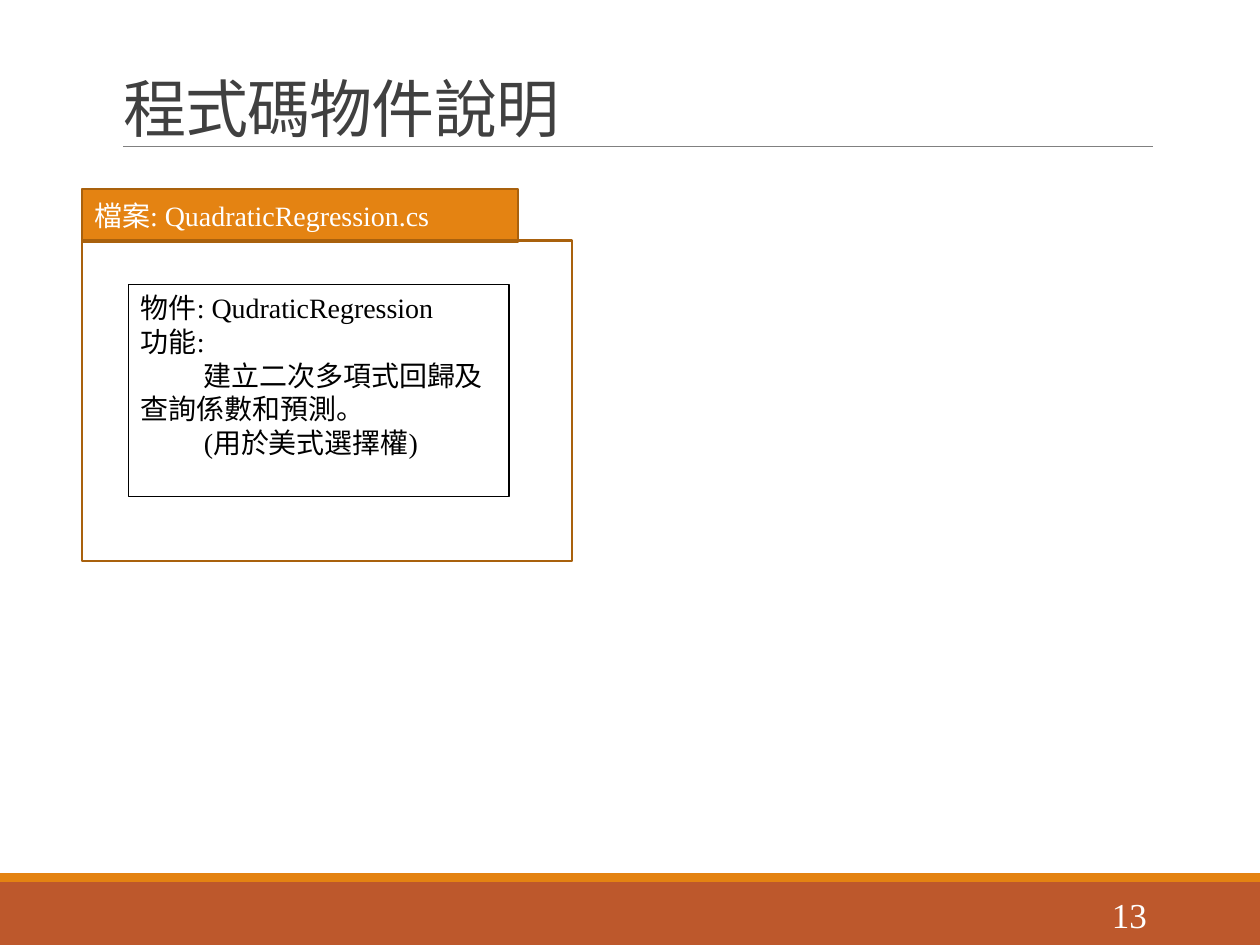
from pptx import Presentation
from pptx.dml.color import RGBColor
from pptx.enum.shapes import MSO_CONNECTOR, MSO_SHAPE
from pptx.enum.text import MSO_ANCHOR, PP_ALIGN
from pptx.oxml.ns import qn
from pptx.util import Inches, Pt
from lxml import etree

RECT = MSO_SHAPE.RECTANGLE
LINE = MSO_CONNECTOR.STRAIGHT
TOP, MIDDLE, BOTTOM = MSO_ANCHOR.TOP, MSO_ANCHOR.MIDDLE, MSO_ANCHOR.BOTTOM
LEFT, RIGHT = PP_ALIGN.LEFT, PP_ALIGN.RIGHT
FONT = "Times New Roman"
COLORS = {
    "rust": "BD582C", "orange": "E48312", "brown": "A9610D", "gray": "808080",
    "dark": "404040", "white": "FFFFFF", "black": "000000",
}


def add_box(place, fill=None, line=None, width=1.25):
    box = slide.shapes.add_shape(RECT, *map(Inches, place))
    box.shadow.inherit = False
    if fill:
        box.fill.solid()
        box.fill.fore_color.rgb = RGBColor.from_string(COLORS[fill])
    else:
        box.fill.background()
    if line:
        box.line.color.rgb = RGBColor.from_string(COLORS[line])
        box.line.width = Pt(width)
    else:
        box.line.fill.background()
    return box


def set_text(shape, text, size, color, anchor, align=LEFT):
    frame = shape.text_frame
    frame.word_wrap = True
    frame.vertical_anchor = anchor
    frame.text = text
    for para in frame.paragraphs:
        para.alignment = align
        for run in para.runs:
            run.font.name = FONT
            run.font.size = Pt(size)
            run.font.color.rgb = RGBColor.from_string(COLORS[color])
    return frame.paragraphs


deck = Presentation()
deck.slide_width, deck.slide_height = Inches(10), Inches(7.5)
slide = deck.slides.add_slide(deck.slide_layouts[5])

# Footer bands and title rule
add_box((0, 7, 10, 0.5), "rust")
add_box((0, 6.93, 10, 0.07), "orange")
rule = slide.shapes.add_connector(
    LINE, Inches(0.98), Inches(1.16), Inches(9.15), Inches(1.16))
rule.line.color.rgb = RGBColor.from_string(COLORS["gray"])
rule.line.width = Pt(0.5)
etree.SubElement(rule._element.spPr, qn("a:effectLst"))

# Title
title = slide.shapes.title
title.left, title.top = Inches(0.88), Inches(0.43)
title.width, title.height = Inches(8.25), Inches(0.77)
head = set_text(title, "程式碼物件說明", 36, "dark", BOTTOM)[0]
head.line_spacing = 0.85
head.runs[0].font._element.set("spc", "-50")

# Page number
page = slide.shapes.add_textbox(
    Inches(8.12), Inches(7.06), Inches(1.08), Inches(0.4))
set_text(page, "13", 20, "white", MIDDLE, RIGHT)

# File folder: tab, body and object card
tab = add_box((0.65, 1.5, 3.46, 0.42), "orange", "brown")
set_text(tab, "檔案: QuadraticRegression.cs", 16, "white", MIDDLE)
add_box((0.65, 1.91, 3.89, 2.54), line="brown")
card = add_box((1.02, 2.26, 3.02, 1.68), line="black", width=0.75)
lines = [
    "物件: QudraticRegression",
    "功能:",
    "建立二次多項式回歸及查詢係數和預測。",
    "(用於美式選擇權)",
]
paras = set_text(card, "\n".join(lines), 16, "black", TOP)
for para in paras[2:]:
    para._p.get_or_add_pPr().set("indent", str(Inches(0.5)))

deck.save("out.pptx")
